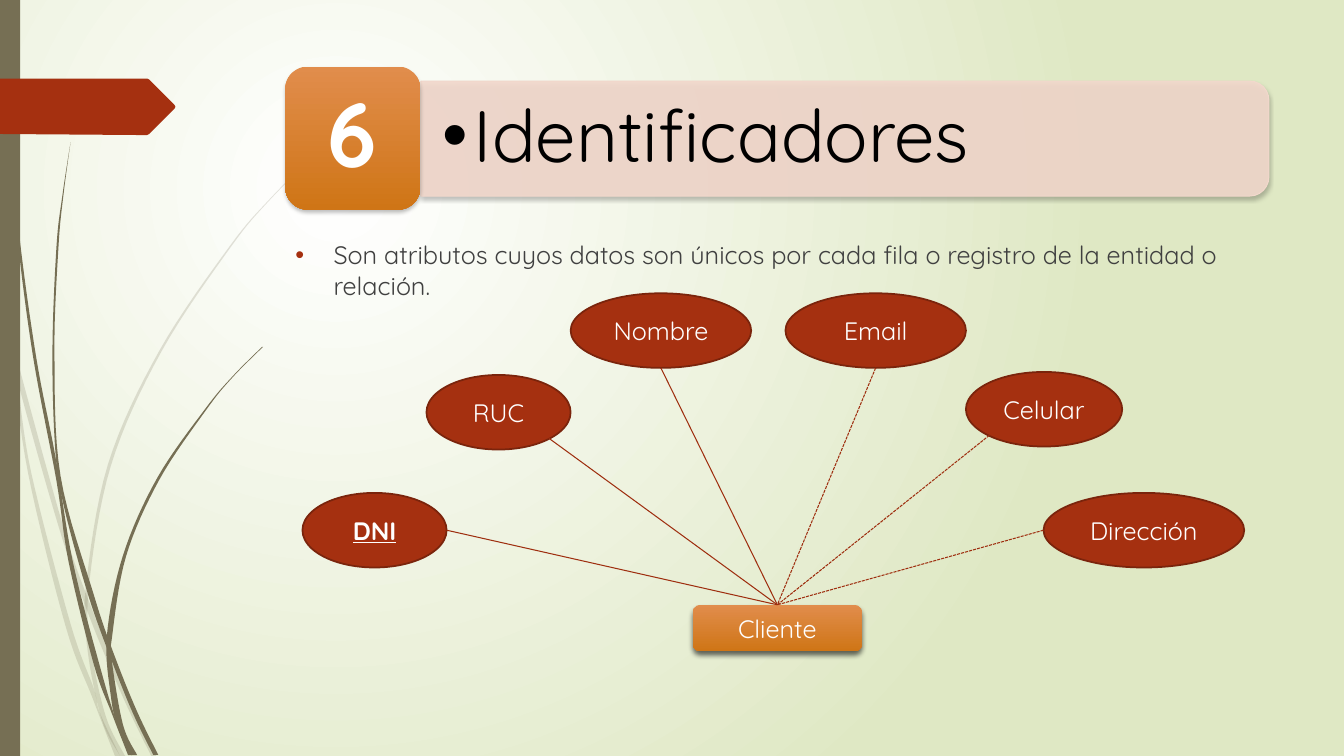
from lxml.etree import SubElement
from pptx import Presentation
from pptx.dml.color import RGBColor
from pptx.enum.dml import MSO_LINE
from pptx.enum.shapes import MSO_CONNECTOR, MSO_SHAPE
from pptx.enum.text import MSO_ANCHOR, MSO_AUTO_SIZE, PP_ALIGN
from pptx.oxml.ns import qn
from pptx.util import Inches, Pt

FONT = "Quicksand"
RED, OLIVE, WHITE = "A53010", "766F54", "FFFFFF"
ORANGE = ("E18D4C", "CF7516")
NUMBER, TITLE = "6", "Identificadores"
DEFINITION = ("Son atributos cuyos datos son únicos por cada fila o registro "
              "de la entidad o relación.")
ENTITY = ("Cliente", 6.87, 6, 1.68, 0.46)

OVAL_H = 0.74
RIGHT, LOWER_RIGHT, BOTTOM, LOWER_LEFT, LEFT = (
    (1, 0.5), (0.85, 0.85), (0.5, 1), (0.15, 0.85), (0, 0.5))
ATTRIBUTES = [
    ("DNI", 3, 4.89, 1.43, RIGHT, False),
    ("RUC", 4.23, 3.72, 1.43, LOWER_RIGHT, False),
    ("Nombre", 5.66, 2.91, 1.79, BOTTOM, False),
    ("Email", 7.79, 2.91, 1.79, BOTTOM, True),
    ("Celular", 9.58, 3.69, 1.55, LOWER_LEFT, True),
    ("Dirección", 10.35, 4.89, 1.99, LEFT, True),
]
KEY = "DNI"

FLAG = [(0, 0.78), (1.46, 0.78), (1.48, 0.79), (1.73, 1.04), (1.74, 1.06),
        (1.73, 1.08), (1.48, 1.33), (1.46, 1.34), (1.36, 1.34), (0, 1.33)]
STRANDS = [
    (20,
     [(0, 2.82), (0.14, 3.45), (0.62, 5.2), (0.88, 5.96), (1.27, 6.92), (1.55, 7.5)],
     [(1.5, 7.5), (1.23, 6.94), (0.88, 6.1), (0.58, 5.22), (0.17, 3.76), (0, 2.99)]),
    (20,
     [(0.11, 3.5), (0.17, 3.76), (0.31, 4.69), (0.7, 6.19), (0.93, 6.83),
      (0.99, 7.07), (1.19, 7.5)],
     [(1.14, 7.5), (0.92, 6.93), (0.65, 6.21), (0.28, 4.7), (0.11, 3.5)]),
    (20,
     [(3.12, 1.53), (2.68, 1.97), (2.28, 2.44), (1.58, 3.48), (1.07, 4.61),
      (0.85, 5.84), (0.87, 6.46), (1.01, 7.14), (1.19, 7.5)],
     [(1.24, 7.5), (1.05, 7.11), (0.91, 6.46), (0.88, 5.84), (1.1, 4.62),
      (1.6, 3.49), (2.29, 2.45), (2.68, 1.98), (3.12, 1.54)]),
    (100,
     [(0.03, 0), (0.07, 1.1), (0.17, 2.33), (0.33, 3.55), (0.56, 4.77),
      (0.68, 5.57), (0.93, 6.59), (1.11, 7.08), (1.27, 7.49)],
     [(1.31, 7.49), (1.16, 7.17), (0.98, 6.57), (0.72, 5.56), (0.55, 4.53),
      (0.36, 3.55), (0.19, 2.32), (0.08, 1.09), (0.04, 0)]),
    (100,
     [(0.7, 1.41), (0.62, 1.93), (0.56, 2.45), (0.52, 3.49), (0.55, 4.49),
      (0.64, 5.05), (0.88, 5.92), (1.11, 6.56), (1.32, 7.08), (1.52, 7.49)],
     [(1.57, 7.49), (1.36, 7.06), (1.13, 6.49), (0.93, 5.9), (0.6, 4.72),
      (0.54, 3.49), (0.58, 2.45), (0.63, 1.93), (0.7, 1.41)]),
    (100,
     [(2.6, 3.44), (2.31, 3.73), (2.04, 4.05), (1.56, 4.74), (1.22, 5.51),
      (1.06, 6.31), (1.1, 6.91), (1.17, 7.22), (1.3, 7.49)],
     [(1.36, 7.49), (1.22, 7.19), (1.11, 6.56), (1.11, 6.33), (1.25, 5.52),
      (1.58, 4.76), (2.05, 4.06), (2.31, 3.74), (2.61, 3.44)]),
]


def color(value):
    return RGBColor.from_string(value)


def box(*lengths):
    return [Inches(n) for n in lengths]


def set_alpha(sp, percent):
    clr = sp._element.spPr.find(qn("a:solidFill"))[0]
    SubElement(clr, qn("a:alpha"), val=str(percent * 1000))


def set_gradient(fill, stops):
    fill.gradient()
    for stop, value in zip(fill.gradient_stops, stops):
        stop.color.rgb = color(value)


def add_shadow(sp, percent, blur, dist):
    effects = sp._element.spPr.find(qn("a:effectLst"))
    shadow = SubElement(effects, qn("a:outerShdw"), blurRad=str(Pt(blur)),
                        dist=str(Pt(dist)), dir="5400000", rotWithShape="0")
    clr = SubElement(shadow, qn("a:srgbClr"), val="000000")
    SubElement(clr, qn("a:alpha"), val=str(percent * 1000))


def paint(sp, fill, line=None, width=0.75):
    sp.shadow.inherit = False
    if isinstance(fill, tuple):
        set_gradient(sp.fill, fill)
        sp.fill.gradient_angle = 270
    else:
        sp.fill.solid()
        sp.fill.fore_color.rgb = color(fill)
    if line:
        sp.line.color.rgb = color(line)
        sp.line.width = Pt(width)
    else:
        sp.line.fill.background()
    return sp


def add_text(sp, text, size, value, align=PP_ALIGN.CENTER, anchor=MSO_ANCHOR.MIDDLE):
    tf = sp.text_frame
    tf.word_wrap = True
    tf.vertical_anchor = anchor
    p = tf.paragraphs[0]
    p.alignment = align
    r = p.add_run()
    r.text = text
    r.font.name = FONT
    r.font.size = Pt(size)
    r.font.color.rgb = color(value)
    return p, r


def add_bullet(p, indent, value):
    pPr = p._p.get_or_add_pPr()
    pPr.set("marL", str(Inches(indent)))
    pPr.set("indent", str(-Inches(indent)))
    SubElement(SubElement(pPr, qn("a:buClr")), qn("a:srgbClr"), val=value)
    SubElement(pPr, qn("a:buFont"), typeface="Arial")
    SubElement(pPr, qn("a:buChar"), char="•")


def smooth_edge(knots, steps=8):
    ends = [knots[0]] + knots + [knots[-1]]
    points = []
    for a, b, c, d in zip(ends, ends[1:], ends[2:], ends[3:]):
        for t in (i / steps for i in range(steps)):
            points.append(tuple(
                0.5 * (2 * q + (r - o) * t + (2 * o - 5 * q + 4 * r - u) * t ** 2
                       + (3 * q - o - 3 * r + u) * t ** 3)
                for o, q, r, u in zip(a, b, c, d)))
    return points + [knots[-1]]


def add_outline(shapes, points, fill):
    points = [box(*point) for point in points]
    builder = shapes.build_freeform(*points[0])
    builder.add_line_segments(points[1:])
    return paint(builder.convert_to_shape(), fill)


def add_background(s):
    set_gradient(s.background.fill, (WHITE, "DFE8C4"))
    grad = s.element.find(".//" + qn("a:gradFill"))
    grad.remove(grad.find(qn("a:lin")))
    circle = SubElement(grad, qn("a:path"), {"path": "circle"})
    SubElement(circle, qn("a:fillToRect"), l="50000", t="50000", r="100000", b="100000")


def add_decoration(shapes):
    for alpha, outer, inner in STRANDS:
        strand = add_outline(shapes, smooth_edge(outer) + smooth_edge(inner), OLIVE)
        if alpha < 100:
            set_alpha(strand, alpha)
    paint(shapes.add_shape(MSO_SHAPE.RECTANGLE, *box(0, 0, 0.2, 7.5)), OLIVE)
    add_outline(shapes, FLAG, RED)


def add_header(shapes):
    band = shapes.add_shape(MSO_SHAPE.ROUND_2_SAME_RECTANGLE, *box(7.81, -2.83, 1.14, 8.41))
    band.rotation = 90
    paint(band, "F2D8CC", "F2D8CC")
    set_alpha(band, 90)
    badge = paint(shapes.add_shape(MSO_SHAPE.ROUNDED_RECTANGLE, *box(2.83, 0.66, 1.34, 1.42)), ORANGE)
    for sp in (band, badge):
        add_shadow(sp, 25, 3, 2)
    p, r = add_text(badge, NUMBER, 65, WHITE)
    p.line_spacing = 0.9
    r.font.bold = True

    title = shapes.title
    shapes.element.append(title.element)
    title.left, title.top, title.width, title.height = box(4.17, 0.86, 8.36, 1.03)
    tf = title.text_frame
    tf.auto_size = MSO_AUTO_SIZE.NONE
    tf.margin_left = tf.margin_right = Inches(0.22)
    tf.margin_top = tf.margin_bottom = Inches(0.11)
    p, r = add_text(title, TITLE, 52, "000000", PP_ALIGN.LEFT)
    p.line_spacing = 0.9
    add_bullet(p, 0.31, "000000")


def add_diagram(shapes):
    name, *place = ENTITY
    entity = paint(shapes.add_shape(MSO_SHAPE.ROUNDED_RECTANGLE, *box(*place)), ORANGE)
    add_shadow(entity, 60, 4, 3)
    add_text(entity, name, 18, WHITE)
    for name, x, y, w, (fx, fy), dashed in ATTRIBUTES:
        oval = shapes.add_shape(MSO_SHAPE.OVAL, *box(x, y, w, OVAL_H))
        paint(oval, RED, "7A240C", 1.25)
        p, r = add_text(oval, name, 18, WHITE)
        if name == KEY:
            r.font.bold = r.font.underline = True
        start = box(x + fx * w, y + fy * OVAL_H)
        link = shapes.add_connector(MSO_CONNECTOR.STRAIGHT, *start, *start)
        link.end_connect(entity, 0)
        link.line.color.rgb = color("9E2E0F")
        link.line.width = Pt(0.75)
        if dashed:
            link.line.dash_style = MSO_LINE.SQUARE_DOT
        SubElement(link._element.spPr, qn("a:effectLst"))


def main():
    prs = Presentation()
    prs.slide_width, prs.slide_height = box(13.33, 7.5)
    s = prs.slides.add_slide(prs.slide_layouts[5])
    add_background(s)
    add_decoration(s.shapes)
    body = s.shapes.add_textbox(*box(2.83, 2.33, 9.75, 4.13))
    p, r = add_text(body, DEFINITION, 18, "404040", PP_ALIGN.LEFT, MSO_ANCHOR.TOP)
    p.space_before = Pt(10)
    add_bullet(p, 0.38, RED)
    add_header(s.shapes)
    add_diagram(s.shapes)
    prs.save("out.pptx")


if __name__ == "__main__":
    main()
